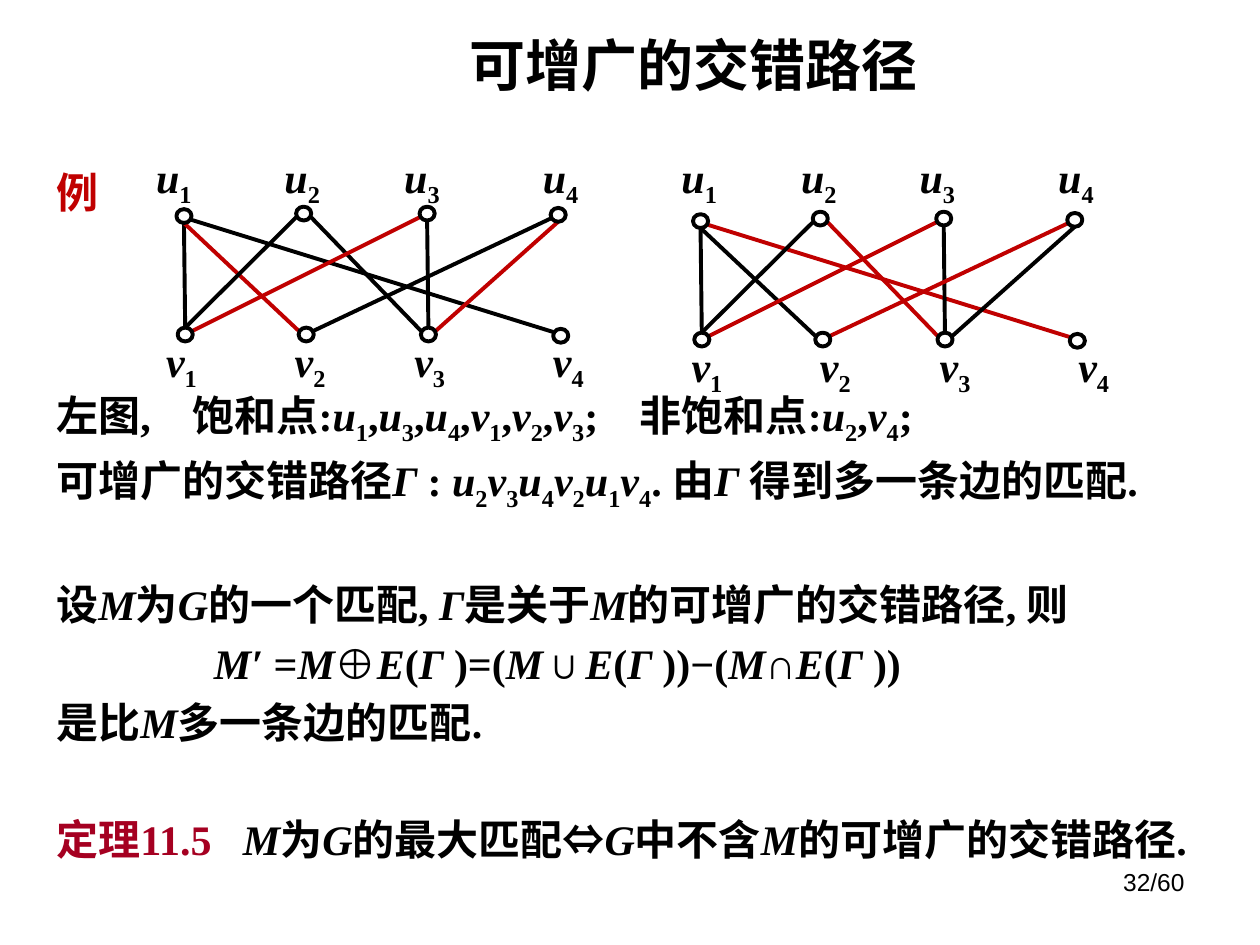
from lxml.etree import SubElement
from pptx import Presentation
from pptx.dml.color import RGBColor
from pptx.enum.shapes import MSO_CONNECTOR, MSO_SHAPE
from pptx.enum.text import MSO_ANCHOR, PP_ALIGN
from pptx.oxml.ns import qn
from pptx.util import Inches, Pt

BLACK, RED, CRIMSON, WHITE = "000000", "C00000", "A50021", "FFFFFF"
SERIF = "Times New Roman"

# Content: *x* is italic, _1 is a subscript, {x} is crimson
TITLE = "可增广的交错路径"
EXAMPLE = "例"
PAGE = "32/60"
LINE_GAP, SECTION_GAP = 4.8, 38
# (text, space before in points, left indent, tab stops in inches)
BODY = [
    ("左图,\t饱和点:*u*_1,*u*_3,*u*_4,*v*_1,*v*_2,*v*_3;\t非饱和点:*u*_2,*v*_4;",
     0, 0, [1.08, 4.63]),
    ("可增广的交错路径*Γ *: *u*_2*v*_3*u*_4*v*_2*u*_1*v*_4. 由*Γ *得到多一条边的匹配.",
     LINE_GAP, 0, []),
    ("设*M*为*G*的一个匹配, *Γ*是关于*M*的可增广的交错路径, 则", SECTION_GAP, 0, []),
    ("*M′ *=*M*⊕*E*(*Γ *)=(*M*∪*E*(*Γ *))−(*M*∩*E*(*Γ *))", LINE_GAP, 1.25, []),
    ("是比*M*多一条边的匹配.", LINE_GAP, 0, []),
    ("{定理11.5}\t*M*为*G*的最大匹配⇔*G*中不含*M*的可增广的交错路径.",
     SECTION_GAP, 0, [1.48]),
]

# Bipartite graph: vertex corners, and edges as (u, side of u, v, side of v)
DOT_W, DOT_H = 0.12, 0.11
U_DOTS = [(1.40, 1.66), (2.35, 1.64), (3.33, 1.64), (4.37, 1.65)]
V_DOTS = [(1.41, 2.60), (2.37, 2.60), (3.34, 2.60), (4.39, 2.61)]
EDGES = [(1, 0, 1, 0), (1, 0, 2, -1), (1, 1, 4, -1), (2, -1, 1, 0), (2, 1, 3, -1),
         (3, -1, 1, 1), (3, 0, 3, 0), (4, -1, 2, 1), (4, 0, 3, 1)]
LABEL_W, LABEL_H = 0.63, 0.59
V_LABELS = [1.22, 2.24, 3.19, 4.29]
GRAPHS = [
    dict(dx=0, dy=0, matching={(1, 2), (3, 1), (4, 3)},
         u_labels=[1.14, 2.16, 3.11, 4.21], v_shift=0),
    dict(dx=4.10, dy=0.04, matching={(1, 4), (2, 3), (3, 1), (4, 2)},
         u_labels=[5.31, 6.26, 7.20, 8.30], v_shift=4.17),
]


def color(hex_value):
    return RGBColor.from_string(hex_value)


def add_run(paragraph, text, hex_value=BLACK, subscript=False, **formats):
    run = paragraph.add_run()
    run.text = text
    for name, value in {"name": SERIF, "size": Pt(24), "bold": True, **formats}.items():
        setattr(run.font, name, value)
    run.font.color.rgb = color(hex_value)
    if subscript:
        run.font._element.set("baseline", "-25000")


def add_marked_text(paragraph, text):
    italic, hex_value, plain = False, BLACK, ""

    def flush():
        if plain:
            add_run(paragraph, plain, hex_value, italic=italic)

    marks = iter(text)
    for mark in marks:
        if mark not in "*_{}":
            plain += mark
            continue
        flush()
        plain = ""
        if mark == "*":
            italic = not italic
        elif mark == "_":
            add_run(paragraph, next(marks), subscript=True, italic=False)
        else:
            hex_value = CRIMSON if mark == "{" else BLACK
    flush()


def add_box(slide, left, top, width, height):
    frame = slide.shapes.add_textbox(*map(Inches, (left, top, width, height))).text_frame
    frame.word_wrap = True
    return frame


def add_edge(slide, start, end, hex_value):
    edge = slide.shapes.add_connector(
        MSO_CONNECTOR.STRAIGHT, *map(Inches, (*start, *end)))
    edge.line.color.rgb = color(hex_value)
    edge.line.width = Pt(2.25)
    SubElement(edge._element.spPr, qn("a:effectLst"))


def add_vertex(slide, left, top):
    vertex = slide.shapes.add_shape(
        MSO_SHAPE.OVAL, *map(Inches, (left, top, DOT_W, DOT_H)))
    vertex.shadow.inherit = False
    vertex.fill.solid()
    vertex.fill.fore_color.rgb = color(WHITE)
    vertex.line.color.rgb = color(BLACK)
    vertex.line.width = Pt(2.25)


def edge_point(dot, side, facing):
    """Point on a vertex: facing is 1 for its lower half, -1 for its upper half."""
    reach = 0.03 if side else DOT_H / 2
    return dot[0] + DOT_W / 2 * (1 + side), dot[1] + DOT_H / 2 + facing * reach


def add_graph(slide, dx, dy, matching, u_labels, v_shift):
    u_dots, v_dots = ([(x + dx, y + dy) for x, y in dots] for dots in (U_DOTS, V_DOTS))
    for u, u_side, v, v_side in EDGES:
        add_edge(slide, edge_point(u_dots[u - 1], u_side, 1),
                 edge_point(v_dots[v - 1], v_side, -1),
                 RED if (u, v) in matching else BLACK)
    for dot in u_dots + v_dots:
        add_vertex(slide, *dot)
    v_labels = [x + v_shift for x in V_LABELS]
    for letter, lefts, top in (("u", u_labels, 1.15), ("v", v_labels, 2.61 + dy)):
        for number, left in enumerate(lefts, 1):
            label = add_box(slide, left, top, LABEL_W, LABEL_H).paragraphs[0]
            add_marked_text(label, f"*{letter}*_{number}")


def main():
    deck = Presentation()
    deck.slide_width, deck.slide_height = Inches(10), Inches(7.5)
    slide = deck.slides.add_slide(deck.slide_layouts[5])

    # Title
    title = slide.shapes.title
    for side, value in dict(left=2.16, top=0.28, width=6.69, height=0.46).items():
        setattr(title, side, Inches(value))
    title.text_frame.vertical_anchor = MSO_ANCHOR.MIDDLE
    heading = title.text_frame.paragraphs[0]
    heading.alignment = PP_ALIGN.CENTER
    add_run(heading, TITLE, size=Pt(32))

    # Example mark
    example = add_box(slide, 0.35, 1.07, 9.13, 0.79).paragraphs[0]
    example.line_spacing = 1.5
    add_run(example, EXAMPLE, RED)

    # Explanation and theorem
    body = add_box(slide, 0.35, 3.04, 9.13, 3.9)
    for number, (text, before, indent, tabs) in enumerate(BODY):
        paragraph = body.add_paragraph() if number else body.paragraphs[0]
        paragraph.space_before = Pt(before)
        properties = paragraph._p.get_or_add_pPr()
        properties.set("marL", str(Inches(indent)))
        if tabs:
            stops = SubElement(properties, qn("a:tabLst"))
            for tab in tabs:
                SubElement(stops, qn("a:tab"), pos=str(Inches(tab)), algn="l")
        add_marked_text(paragraph, text)

    # Graphs before and after augmenting
    for graph in GRAPHS:
        add_graph(slide, **graph)

    # Page number
    page = add_box(slide, 7.17, 6.83, 2.33, 0.52).paragraphs[0]
    page.alignment = PP_ALIGN.RIGHT
    add_run(page, PAGE, name="Arial", size=Pt(14), bold=False)

    deck.save("out.pptx")


if __name__ == "__main__":
    main()
